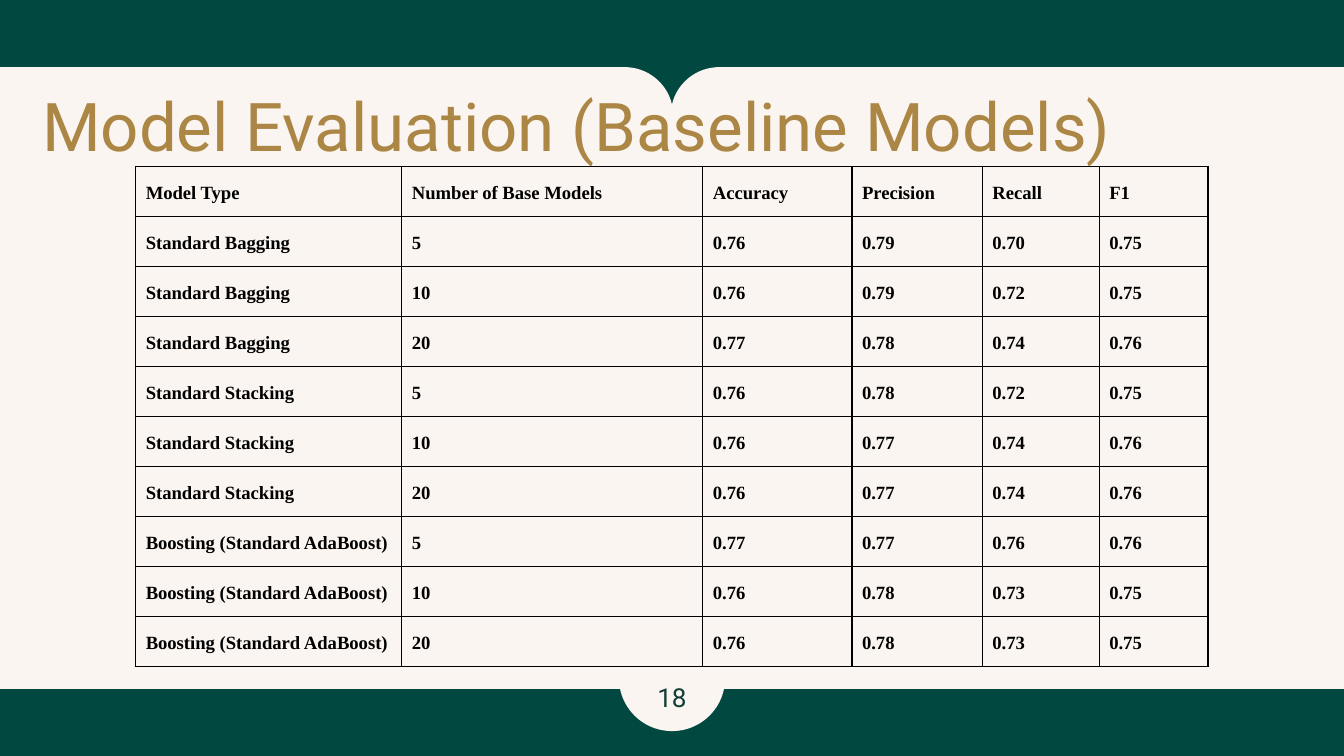
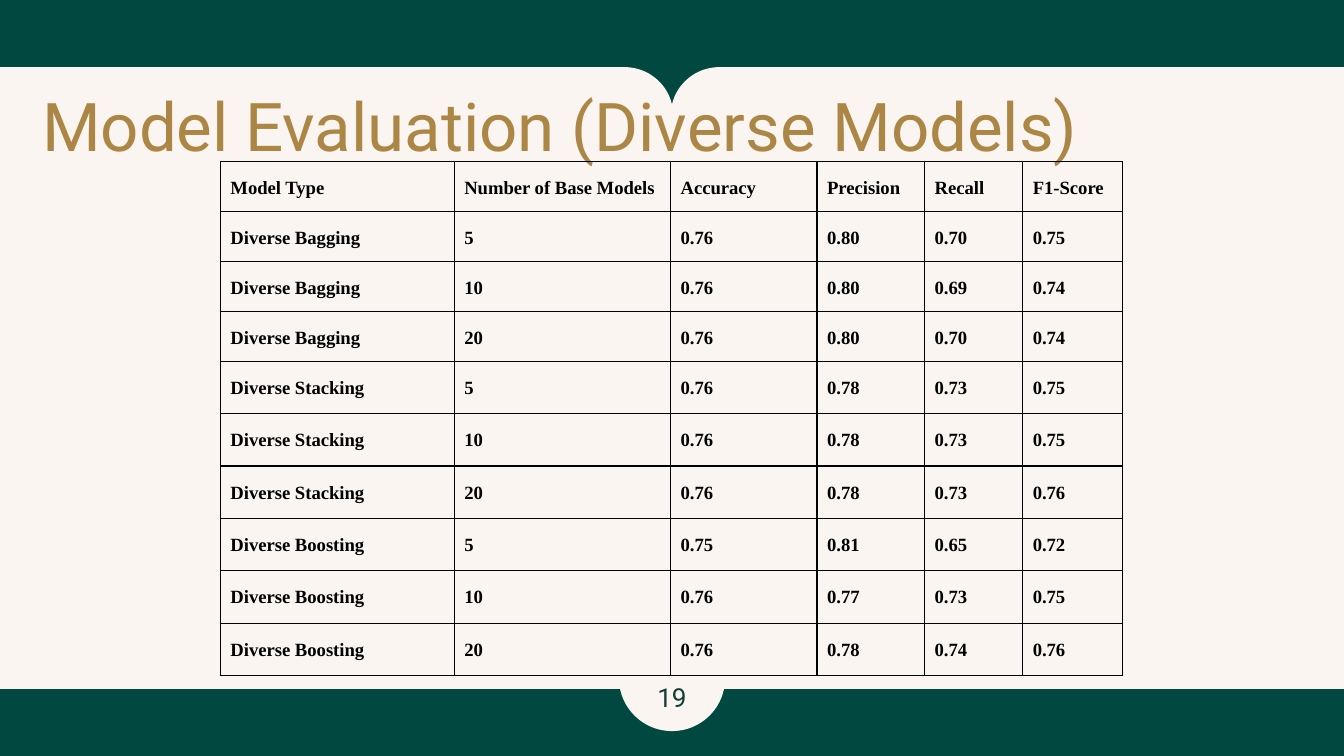
from dataclasses import dataclass
from itertools import product

from lxml.etree import SubElement
from pptx import Presentation
from pptx.dml.color import RGBColor
from pptx.enum.shapes import MSO_SHAPE as Shape
from pptx.enum.text import MSO_ANCHOR as Anchor, PP_ALIGN as Align
from pptx.oxml.ns import qn
from pptx.util import Inches, Pt

COLORS = {
    "green": "014840",
    "cream": "FAF5F0",
    "gold": "AB8645",
    "number": "133E37",
    "ink": "000000",
}
HEADING_FONT = "Roboto"
TABLE_FONT = "Times New Roman"
GRID = Inches(0.1)
COLUMNS, ROWS = 100, 56.25
BASE_MODELS = ("5", "10", "20")


@dataclass
class Box:
    left: float
    top: float
    width: float
    height: float

    def emu(self):
        return [span(v) for v in (self.left, self.top, self.width, self.height)]


PAGE = Box(0, 0, COLUMNS, ROWS)
TITLE = Box(2.15, 4.85, 87.9, 8.8)


def span(units):
    return round(units * GRID)


def rgb(name):
    return RGBColor.from_string(COLORS[name])


def style_font(paragraph, font_name, size, color, bold=False):
    for run in paragraph.runs:
        run.font.name = font_name
        run.font.size = Pt(size)
        run.font.bold = bold
        run.font.color.rgb = rgb(color)


def add_cream(slide, preset, box):
    shape = slide.shapes.add_shape(preset, *box.emu())
    shape.shadow.inherit = False
    shape.fill.solid()
    shape.fill.fore_color.rgb = rgb("cream")
    shape.line.fill.background()
    return shape


def add_heading(slide, box, text, size, color, align):
    frame = slide.shapes.add_textbox(*box.emu()).text_frame
    frame.word_wrap = True
    frame.vertical_anchor = Anchor.MIDDLE
    frame.margin_left = frame.margin_right = GRID
    frame.margin_top = frame.margin_bottom = GRID
    frame.text = text
    frame.paragraphs[0].alignment = align
    style_font(frame.paragraphs[0], HEADING_FONT, size, color)


def add_pages(slide, box):
    band, overlap = 5, 0.1
    width = box.width / 2 + overlap
    for left, flipped in ((box.left + box.width - width, True), (box.left, False)):
        half = add_cream(slide, Shape.ROUND_1_RECTANGLE,
                         Box(left, box.top + band, width, box.height - 2 * band))
        half.adjustments[0] = 0.078
        if flipped:
            half.element.spPr.xfrm.set("flipH", "1")


def add_number(slide, box, number):
    size = 7.9
    left = box.left + (box.width - size) / 2
    top = box.top + box.height - 9.75
    add_cream(slide, Shape.OVAL, Box(left, top, size, size))
    add_heading(slide, Box(left, top + 3.1, size, 4.6), str(number), 14, "number", Align.CENTER)


def add_borders(cell):
    properties = cell._tc.get_or_add_tcPr()
    for side in ("a:lnL", "a:lnR", "a:lnT", "a:lnB"):
        line = SubElement(properties, qn(side), w=str(Pt(0.75)))
        fill = SubElement(line, qn("a:solidFill"))
        SubElement(fill, qn("a:srgbClr"), val=COLORS["ink"])


def fill_cell(cell, text):
    cell.margin_left = cell.margin_right = Pt(5.4)
    cell.margin_top = GRID
    cell.margin_bottom = Inches(0.08)
    add_borders(cell)
    cell.fill.background()
    cell.text = text
    paragraph = cell.text_frame.paragraphs[0]
    paragraph.line_spacing = 1.15
    style_font(paragraph, TABLE_FONT, 10, "ink", bold=True)


def add_scores(slide, left, top, widths, heights, records):
    box = Box(left, top, sum(widths), sum(heights))
    scores = slide.shapes.add_table(len(heights), len(widths), *box.emu()).table
    scores.first_row = scores.horz_banding = False
    for column, width in zip(scores.columns, widths):
        column.width = span(width)
    for row, height, record in zip(scores.rows, heights, records):
        row.height = span(height)
        for cell, text in zip(row.cells, record):
            fill_cell(cell, text)


def evaluation_records(f1_label, families, scores):
    header = ["Model Type", "Number of Base Models", "Accuracy", "Precision", "Recall", f1_label]
    models = product(families, BASE_MODELS)
    return [header] + [[*model, *row.split()] for model, row in zip(models, scores)]


def add_evaluation(deck, number, title, table):
    slide = deck.slides.add_slide(deck.slide_layouts[6])
    slide.background.fill.solid()
    slide.background.fill.fore_color.rgb = rgb("green")
    add_pages(slide, PAGE)
    add_number(slide, PAGE, number)
    add_heading(slide, TITLE, title, 36, "gold", Align.LEFT)
    add_scores(slide, **table)


BASELINE = {
    "left": 10.1,
    "top": 12.4,
    "widths": [19.8, 22.4, 11.1, 9.7, 8.7, 8.1],
    "heights": [3.4] * 10,
    "records": evaluation_records(
        "F1",
        ["Standard Bagging", "Standard Stacking", "Boosting (Standard AdaBoost)"],
        [
            "0.76 0.79 0.70 0.75",
            "0.76 0.79 0.72 0.75",
            "0.77 0.78 0.74 0.76",
            "0.76 0.78 0.72 0.75",
            "0.76 0.77 0.74 0.76",
            "0.76 0.77 0.74 0.76",
            "0.77 0.77 0.76 0.76",
            "0.76 0.78 0.73 0.75",
            "0.76 0.78 0.73 0.75",
        ],
    ),
}
DIVERSE = {
    "left": 16.4,
    "top": 12,
    "widths": [17.4, 16.1, 10.9, 8, 7.3, 7.4],
    "heights": [3.5] * 4 + [3.9] * 6,
    "records": evaluation_records(
        "F1-Score",
        ["Diverse Bagging", "Diverse Stacking", "Diverse Boosting"],
        [
            "0.76 0.80 0.70 0.75",
            "0.76 0.80 0.69 0.74",
            "0.76 0.80 0.70 0.74",
            "0.76 0.78 0.73 0.75",
            "0.76 0.78 0.73 0.75",
            "0.76 0.78 0.73 0.76",
            "0.75 0.81 0.65 0.72",
            "0.76 0.77 0.73 0.75",
            "0.76 0.78 0.74 0.76",
        ],
    ),
}


def main():
    deck = Presentation()
    deck.slide_width, deck.slide_height = span(COLUMNS), span(ROWS)
    add_evaluation(deck, 18, "Model Evaluation (Baseline Models)", BASELINE)
    add_evaluation(deck, 19, "Model Evaluation (Diverse Models)", DIVERSE)
    deck.save("out.pptx")


if __name__ == "__main__":
    main()
